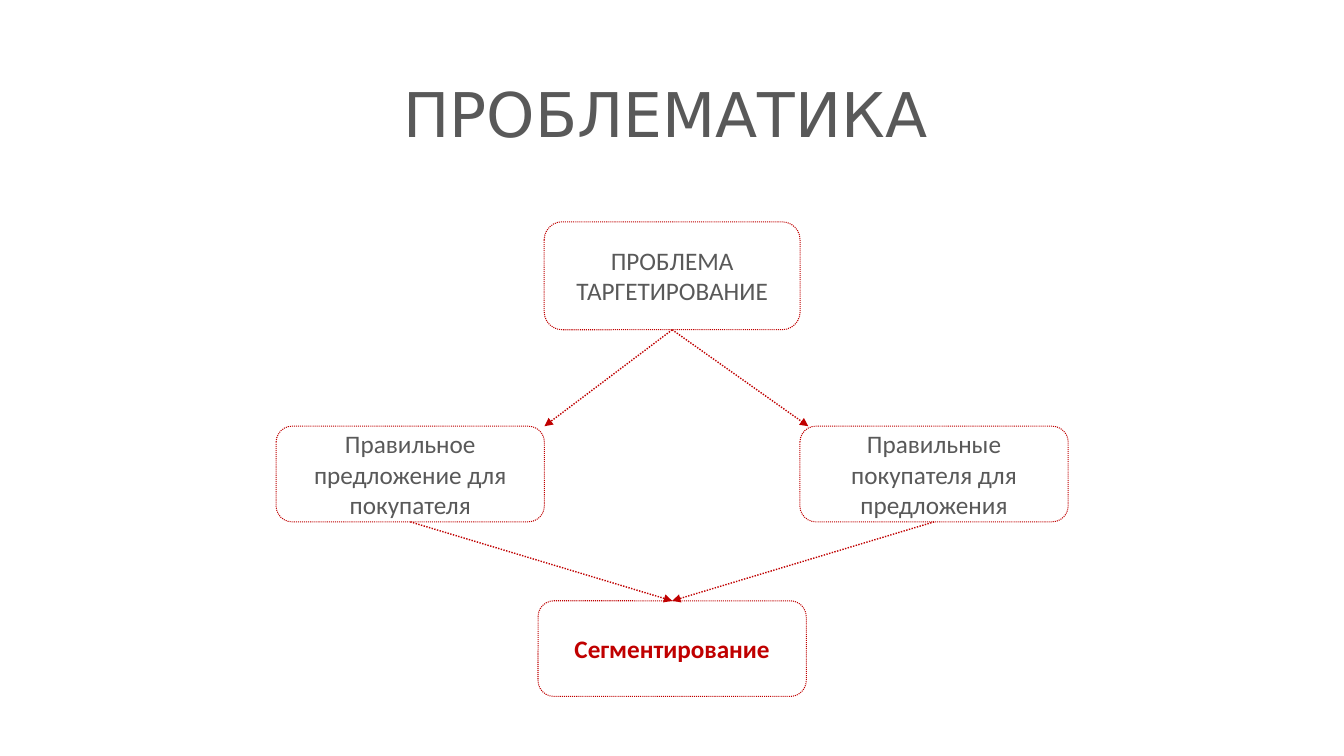
from lxml import etree
from pptx import Presentation
from pptx.dml.color import RGBColor
from pptx.enum.dml import MSO_LINE
from pptx.enum.shapes import MSO_CONNECTOR, MSO_SHAPE
from pptx.enum.text import MSO_ANCHOR, PP_ALIGN
from pptx.oxml.ns import qn
from pptx.util import Cm, Pt

ROUNDED = MSO_SHAPE.ROUNDED_RECTANGLE
STRAIGHT = MSO_CONNECTOR.STRAIGHT
DOTTED = MSO_LINE.ROUND_DOT  # written as sysDot
MIDDLE = MSO_ANCHOR.MIDDLE
CENTER = PP_ALIGN.CENTER

GRAY = "595959"
RED = "C00000"
TOP, BOTTOM = 0, 2

AXIS = 16.94  # vertical axis of the diagram, cm
IDEA_SIZE = (6.76, 2.41)
IDEA_OFFSET = 6.6  # from the axis to the centre of a side idea
IDEA_TOP = 10.74


def color(hex_value):
    return RGBColor.from_string(hex_value)


def write(shape, text, font="Calibri", size=18, fill=GRAY, bold=False, spacing=1.0):
    frame = shape.text_frame
    frame.word_wrap = True
    frame.vertical_anchor = MIDDLE
    paragraph = frame.paragraphs[0]
    paragraph.alignment = CENTER
    paragraph.line_spacing = spacing
    run = paragraph.add_run()
    run.text = text
    run.font.name = font
    run.font.size = Pt(size)
    run.font.bold = bold
    run.font.color.rgb = color(fill)


def dot_line(line, width):
    line.color.rgb = color(RED)
    line.width = Pt(width)
    line.dash_style = DOTTED


def add_box(slide, center, top, size, text, **text_format):
    width, height = size
    box = slide.shapes.add_shape(
        ROUNDED, Cm(center - width / 2), Cm(top), Cm(width), Cm(height))
    box.shadow.inherit = False
    box.fill.background()
    dot_line(box.line, 0.75)
    write(box, text, **text_format)
    return box


def add_arrow(slide, source, end_x, end_y, target=None):
    """Arrow from the bottom of source to a point, or to the top of target."""
    arrow = slide.shapes.add_connector(
        STRAIGHT, source.left + source.width // 2, source.top + source.height,
        Cm(end_x), Cm(end_y))
    arrow.begin_connect(source, BOTTOM)
    if target is not None:
        arrow.end_connect(target, TOP)
    dot_line(arrow.line, 1)
    etree.SubElement(arrow.line._get_or_add_ln(), qn("a:tailEnd"), type="triangle")
    etree.SubElement(arrow._element.spPr, qn("a:effectLst"))


def main():
    deck = Presentation()
    deck.slide_width, deck.slide_height = Cm(33.87), Cm(19.05)
    slide = deck.slides.add_slide(deck.slide_layouts[6])

    # Title
    title = slide.shapes.add_textbox(Cm(1.42), Cm(1.12), Cm(30.71), Cm(3.68))
    write(title, "ПРОБЛЕМАТИКА", font="DejaVu Sans", size=44, spacing=0.9)

    # Problem, the two ideas and the outcome
    problem = add_box(slide, AXIS, 5.59, (6.45, 2.72), "ПРОБЛЕМА ТАРГЕТИРОВАНИЕ")
    right_offer = add_box(slide, AXIS - IDEA_OFFSET, IDEA_TOP, IDEA_SIZE,
                          "Правильное предложение для покупателя")
    right_buyers = add_box(slide, AXIS + IDEA_OFFSET, IDEA_TOP, IDEA_SIZE,
                           "Правильные покупателя для предложения")
    outcome_top = 15.14
    segmentation = add_box(slide, AXIS, outcome_top, IDEA_SIZE,
                           "Сегментирование", fill=RED, bold=True)

    # Arrows from the problem to the inner corners of the ideas
    for corner_x in (13.72, 20.37):
        add_arrow(slide, problem, corner_x, IDEA_TOP)

    # Arrows from the ideas to the outcome
    for idea in (right_offer, right_buyers):
        add_arrow(slide, idea, AXIS, outcome_top, target=segmentation)

    deck.save("out.pptx")


if __name__ == "__main__":
    main()
